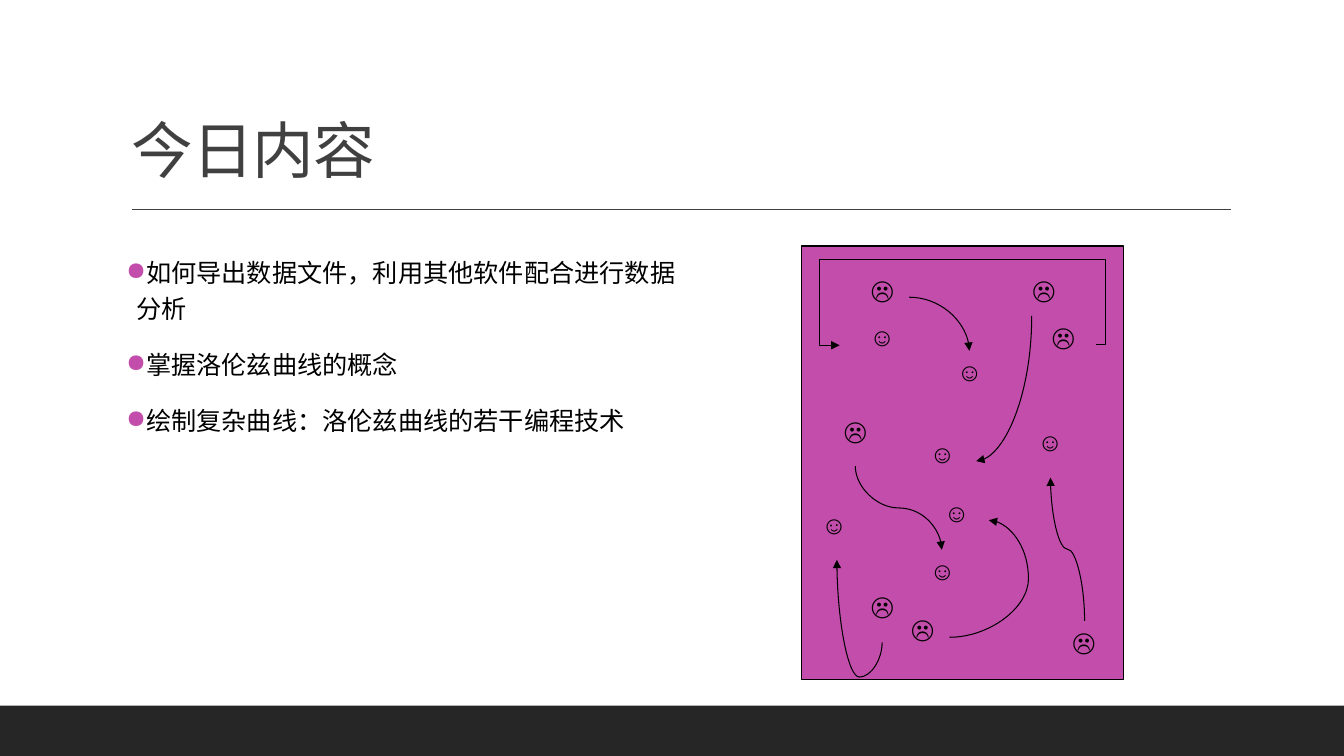
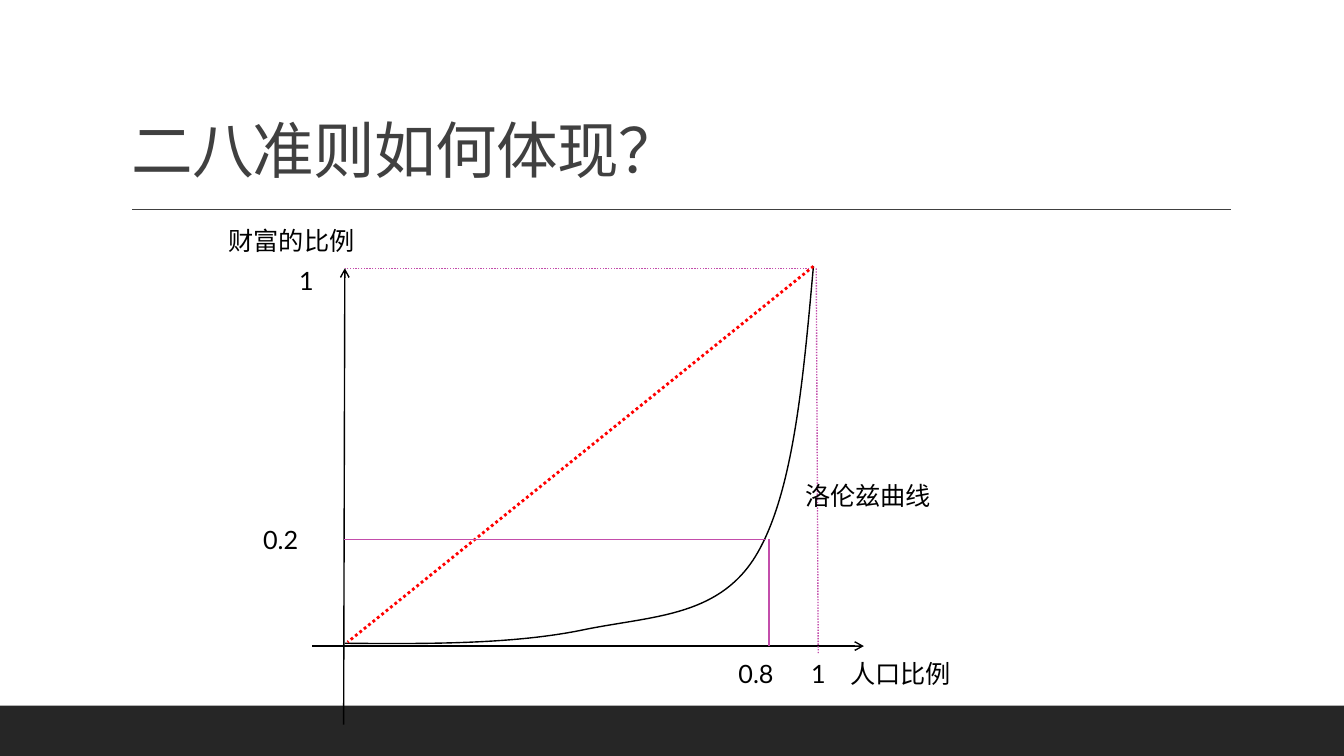
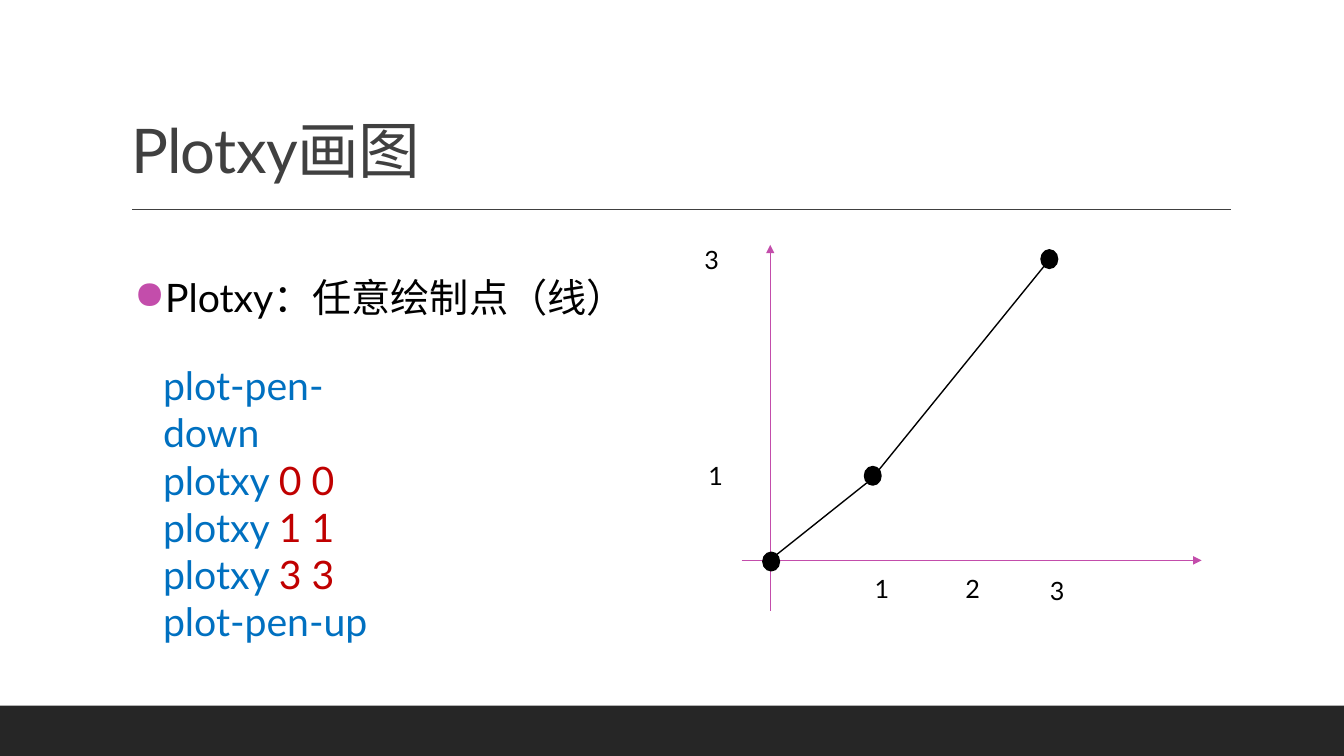
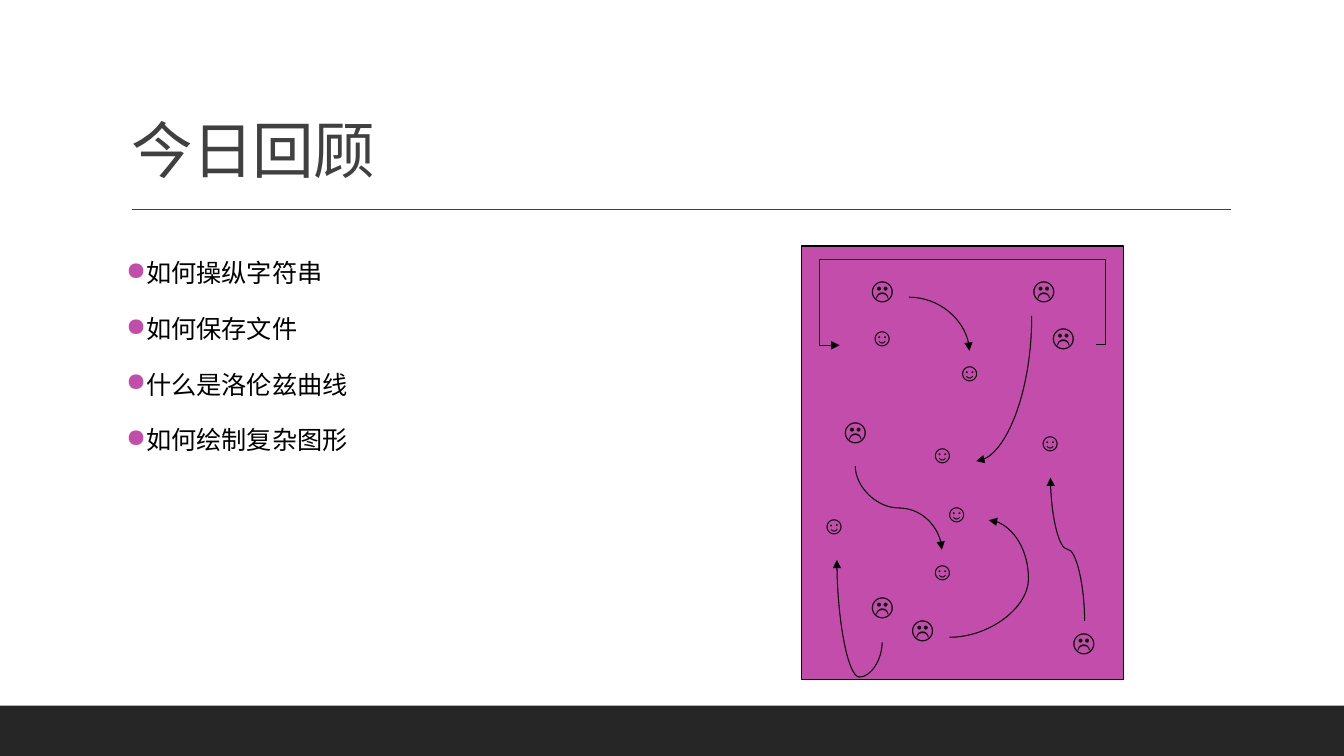
from dataclasses import dataclass

from lxml import etree
from pptx import Presentation
from pptx.dml.color import RGBColor
from pptx.enum.dml import MSO_LINE
from pptx.enum.shapes import MSO_CONNECTOR, MSO_SHAPE
from pptx.enum.text import MSO_ANCHOR, MSO_AUTO_SIZE, PP_ALIGN
from pptx.oxml import parse_xml
from pptx.oxml.ns import nsdecls, qn
from pptx.util import Cm, Pt

RECTANGLE, OVAL = MSO_SHAPE.RECTANGLE, MSO_SHAPE.OVAL
STRAIGHT, CURVE, ELBOW = MSO_CONNECTOR.STRAIGHT, MSO_CONNECTOR.CURVE, MSO_CONNECTOR.ELBOW
DOTTED = MSO_LINE.ROUND_DOT
TOP, BOTTOM = MSO_ANCHOR.TOP, MSO_ANCHOR.BOTTOM
LEFT, CENTER = PP_ALIGN.LEFT, PP_ALIGN.CENTER
NO_AUTOFIT = MSO_AUTO_SIZE.NONE


@dataclass(frozen=True)
class Theme:
    black: str = "000000"
    band: str = "262626"
    title: str = "404040"
    accent: str = "C34DAB"
    equality: str = "FF0000"
    command: str = "0070C0"
    argument: str = "C00000"
    font: str = "Lato"
    cjk_font: str = "Noto Sans CJK SC"
    face_font: str = "Arial"
    title_size: int = 44
    large_size: int = 28
    text_size: int = 18


THEME = Theme()


def add_text(shapes, text, left, top, width, height=1.02, *, size=THEME.text_size,
             font=THEME.font, cjk_font=THEME.cjk_font, colour=THEME.black,
             align=LEFT, wrap=True):
    box = shapes.add_textbox(Cm(left), Cm(top), Cm(width), Cm(height))
    frame = box.text_frame
    frame.word_wrap = wrap
    frame.text = text
    for paragraph in frame.paragraphs:
        paragraph.alignment = align
        for run in paragraph.runs:
            run.font.size = Pt(size)
            run.font.name = font
            run.font.color.rgb = RGBColor.from_string(colour)
            if cjk_font:
                latin = run.font._element.find(qn("a:latin"))
                latin.addnext(latin.makeelement(qn("a:ea"), {"typeface": cjk_font}))
    return box


def add_line(shapes, x1, y1, x2, y2, *, colour=THEME.black, width=1, dash=None,
             arrow=None, kind=STRAIGHT):
    line = shapes.add_connector(kind, Cm(x1), Cm(y1), Cm(x2), Cm(y2))
    line.line.color.rgb = RGBColor.from_string(colour)
    line.line.width = Pt(width)
    if dash:
        line.line.dash_style = dash
    properties = line.element.spPr
    if arrow:
        etree.SubElement(properties.find(qn("a:ln")), qn("a:tailEnd"), type=arrow)
    etree.SubElement(properties, qn("a:effectLst"))
    return line


prs = Presentation()
prs.slide_width, prs.slide_height = Cm(33.87), Cm(19.05)
master = prs.slide_master

title_style = f"""<a:lvl1pPr {nsdecls('a')} algn="l">
  <a:lnSpc><a:spcPct val="90000"/></a:lnSpc><a:buNone/>
  <a:defRPr sz="{THEME.title_size * 100}" spc="-50">
    <a:solidFill><a:srgbClr val="{THEME.title}"/></a:solidFill>
    <a:latin typeface="{THEME.font}"/><a:ea typeface="{THEME.cjk_font}"/>
  </a:defRPr></a:lvl1pPr>"""
body_style = f"""<a:lvl1pPr {nsdecls('a')} marL="91440" indent="-91440" algn="l">
  <a:lnSpc><a:spcPct val="120000"/></a:lnSpc>
  <a:spcBef><a:spcPts val="1200"/></a:spcBef><a:spcAft><a:spcPts val="200"/></a:spcAft>
  <a:buClr><a:srgbClr val="{THEME.accent}"/></a:buClr><a:buChar char="●"/>
  <a:defRPr sz="{THEME.text_size * 100}">
    <a:solidFill><a:srgbClr val="{THEME.black}"/></a:solidFill>
    <a:latin typeface="{THEME.font}"/><a:ea typeface="{THEME.cjk_font}"/>
  </a:defRPr></a:lvl1pPr>"""
for style_name, style in (("titleStyle", title_style), ("bodyStyle", body_style)):
    level = master.element.xpath(f"p:txStyles/p:{style_name}/a:lvl1pPr")[0]
    level.getparent().replace(level, parse_xml(style))

for placeholder, bounds, anchor in (
    (master.placeholders[0], (3.05, 0.79, 27.94, 4.04), BOTTOM),
    (master.placeholders[1], (3.18, 6.2, 14.22, 8.86), TOP),
):
    placeholder.left, placeholder.top, placeholder.width, placeholder.height = map(Cm, bounds)
    placeholder.text_frame.vertical_anchor = anchor
    placeholder.text_frame.auto_size = NO_AUTOFIT
body_frame = master.placeholders[1].text_frame
body_frame.margin_left = body_frame.margin_right = 0

LIST_LAYOUT, TITLE_LAYOUT = prs.slide_layouts[1], prs.slide_layouts[5]
slides = []
for heading, layout in (
    ("今日内容", LIST_LAYOUT),
    ("二八准则如何体现？", TITLE_LAYOUT),
    ("Plotxy画图", LIST_LAYOUT),
    ("今日回顾", LIST_LAYOUT),
):
    slide = prs.slides.add_slide(layout)
    slide.shapes.title.text = heading
    slides.append(slide)
contents, lorenz, plotting, review = slides

band = contents.shapes.add_shape(RECTANGLE, 0, Cm(17.78), prs.slide_width, Cm(1.27))
band.shadow.inherit = False
band.fill.solid()
band.fill.fore_color.rgb = RGBColor.from_string(THEME.band)
band.line.fill.background()
title_rule = add_line(contents.shapes, 3.33, 5.28, 31.01, 5.28, colour=THEME.title)
for shape_id, shared in enumerate((band, title_rule), start=20):
    shared.element.xpath(".//p:cNvPr")[0].set("id", str(shape_id))
    master.shapes.element.append(shared.element)

NARROW, WIDE = 1.35, 1.68
FACES = (
    ("☹", 21.56, 6.78, NARROW),
    ("☹", 25.63, 6.78, NARROW),
    ("☹", 25.96, 7.98, WIDE),
    ("☹", 20.88, 10.34, NARROW),
    ("☹", 21.56, 14.76, NARROW),
    ("☹", 22.58, 15.34, NARROW),
    ("☹", 26.64, 15.65, NARROW),
    ("☺", 21.56, 7.98, NARROW),
    ("☺", 23.6, 8.86, WIDE),
    ("☺", 25.63, 10.62, WIDE),
    ("☺", 22.91, 10.92, WIDE),
    ("☺", 23.27, 12.4, WIDE),
    ("☺", 22.91, 13.87, WIDE),
    ("☺", 20.19, 12.7, WIDE),
)
ROUTES = (
    (CURVE, "curvedConnector2", 23.47, 9.09, 3.66, 1.4, 90, "", ()),
    (CURVE, "curvedConnector2", 22.91, 7.49, 1.52, 1.35, 0, "", ()),
    (CURVE, "curvedConnector3", 25.1, 13.41, 3.61, 0.86, 90, "h", (0.5,)),
    (CURVE, "curvedConnector3", 23.93, 13.11, 0.99, 2.95, 0, "v", (2.01,)),
    (CURVE, "curvedConnector3", 20.62, 14.58, 2.08, 1.14, 270, "v", (-0.42,)),
    (CURVE, "curvedConnector3", 21.59, 11.71, 2.11, 2.18, 270, "h", (0.5,)),
    (ELBOW, "bentConnector5", 21.16, 8.69, 6.45, 0.01, 0, "h", (-0.04, -216, 1.08)),
)
for slide, topics in (
    (contents, ("如何导出数据文件，利用其他软件配合进行数据分析",
                "掌握洛伦兹曲线的概念",
                "绘制复杂曲线：洛伦兹曲线的若干编程技术")),
    (review, ("如何操纵字符串", "如何保存文件", "什么是洛伦兹曲线", "如何绘制复杂图形")),
):
    slide.placeholders[1].text = "\n".join(topics)
    crowd = slide.shapes.add_group_shape().shapes
    panel = crowd.add_shape(RECTANGLE, Cm(20.19), Cm(6.2), Cm(8.13), Cm(10.92))
    panel.shadow.inherit = False
    panel.fill.solid()
    panel.fill.fore_color.rgb = RGBColor.from_string(THEME.accent)
    panel.line.color.rgb = RGBColor.from_string(THEME.black)
    panel.line.width = Pt(0.75)
    for mood, left, top, width in FACES:
        face = add_text(crowd, mood, left, top, width, 1.42, font=THEME.face_font,
                        cjk_font=None, align=CENTER)
    face.rotation = 355.6
    for kind, preset, left, top, width, height, turn, flip, bends in ROUTES:
        x1, x2 = (left + width, left) if flip == "h" else (left, left + width)
        y1, y2 = (top + height, top) if flip == "v" else (top, top + height)
        route = add_line(crowd, x1, y1, x2, y2, width=0.75, arrow="triangle", kind=kind)
        route.element.spPr.xfrm.rot = turn
        geometry = route.element.spPr.find(qn("a:prstGeom"))
        geometry.set("prst", preset)
        guides = geometry.find(qn("a:avLst"))
        for number, bend in enumerate(bends, start=1):
            etree.SubElement(guides, qn("a:gd"), name=f"adj{number}" if len(bends) > 1 else "adj1",
                             fmla=f"val {round(bend * 100000)}")

graph = lorenz.shapes
add_line(graph, 7.87, 16.28, 21.77, 16.28, arrow="arrow")
add_line(graph, 8.66, 18.26, 8.69, 6.76, arrow="arrow")

curve_points = [(Cm(x), Cm(y)) for x, y in (
    (8.69, 16.21), (10.82, 16.23), (12.93, 16.23), (14.66, 15.88), (16.38, 15.52),
    (18.06, 15.57), (19.02, 14.05), (19.99, 12.5), (20.24, 9.6), (20.5, 6.71))]
builder = graph.build_freeform(*curve_points[0])
builder.add_line_segments(curve_points[1:], close=False)
lorenz_curve = builder.convert_to_shape()
lorenz_curve.shadow.inherit = False
lorenz_curve.fill.background()
lorenz_curve.line.color.rgb = RGBColor.from_string(THEME.black)
lorenz_curve.line.width = Pt(1)
segments = lorenz_curve.element.xpath(".//a:lnTo")
outline = segments[0].getparent()
for first in range(0, len(segments), 3):
    bezier = etree.SubElement(outline, qn("a:cubicBezTo"))
    for segment in segments[first:first + 3]:
        bezier.append(segment[0])
        outline.remove(segment)

add_line(graph, 20.4, 6.76, 8.69, 6.76, colour=THEME.accent, dash=DOTTED)
add_line(graph, 20.62, 16.46, 20.57, 6.76, colour=THEME.accent, dash=DOTTED)
add_line(graph, 20.5, 6.71, 8.76, 16.18, colour=THEME.equality, width=2, dash=DOTTED)
add_line(graph, 19.38, 16.28, 19.38, 13.59, colour=THEME.accent)
add_line(graph, 19.3, 13.59, 8.66, 13.59, colour=THEME.accent)
for label, left, top, width in (
    ("人口比例", 21.18, 16.46, 3.07),
    ("财富的比例", 5.51, 5.56, 3.71),
    ("1", 20.19, 16.46, 0.86),
    ("1", 7.29, 6.55, 0.86),
    ("洛伦兹曲线", 20.04, 11.99, 5.23),
    ("0.8", 18.36, 16.46, 2.03),
    ("0.2", 6.38, 13.08, 2.21),
):
    add_text(graph, label, left, top, width, wrap=False)

plot = plotting.shapes
purpose = plotting.placeholders[1]
purpose.left, purpose.top, purpose.width, purpose.height = map(Cm, (3.38, 6.53, 14.22, 8.86))
purpose.text = "Plotxy：任意绘制点（线）"
purpose.text_frame.paragraphs[0].runs[0].font.size = Pt(THEME.large_size)

add_line(plot, 18.69, 14.12, 30.28, 14.12, colour=THEME.accent, arrow="triangle")
add_line(plot, 19.41, 15.39, 19.41, 6.17, colour=THEME.accent, arrow="triangle")
for left, top in ((19.23, 13.92), (21.79, 11.76), (26.24, 6.3)):
    point = plot.add_shape(OVAL, Cm(left), Cm(top), Cm(0.41), Cm(0.46))
    point.shadow.inherit = False
    point.fill.solid()
    point.fill.fore_color.rgb = RGBColor.from_string(THEME.black)
    point.line.color.rgb = RGBColor.from_string(THEME.black)
    point.line.width = Pt(1.25)
add_line(plot, 19.58, 13.97, 21.84, 12.17)
add_line(plot, 22.15, 11.84, 26.31, 6.71)
for tick, left, top in (
    ("1", 17.6, 11.48),
    ("3", 17.5, 6.02),
    ("1", 21.79, 14.33),
    ("2", 24.08, 14.33),
    ("3", 26.21, 14.38),
):
    add_text(plot, tick, left, top, 1.32)

commands = add_text(plot, "plot-pen-down\nplotxy \nplotxy \nplotxy \nplot-pen-up",
                    3.86, 8.99, 6.91, 6.25, size=THEME.large_size, colour=THEME.command)
for command, coordinates in zip(commands.text_frame.paragraphs[1:4], ("0 0", "1 1", "3 3")):
    argument = command.add_run()
    argument.text = coordinates
    argument.font.size = Pt(THEME.large_size)
    argument.font.name = THEME.font
    argument.font.color.rgb = RGBColor.from_string(THEME.argument)

prs.save("out.pptx")
